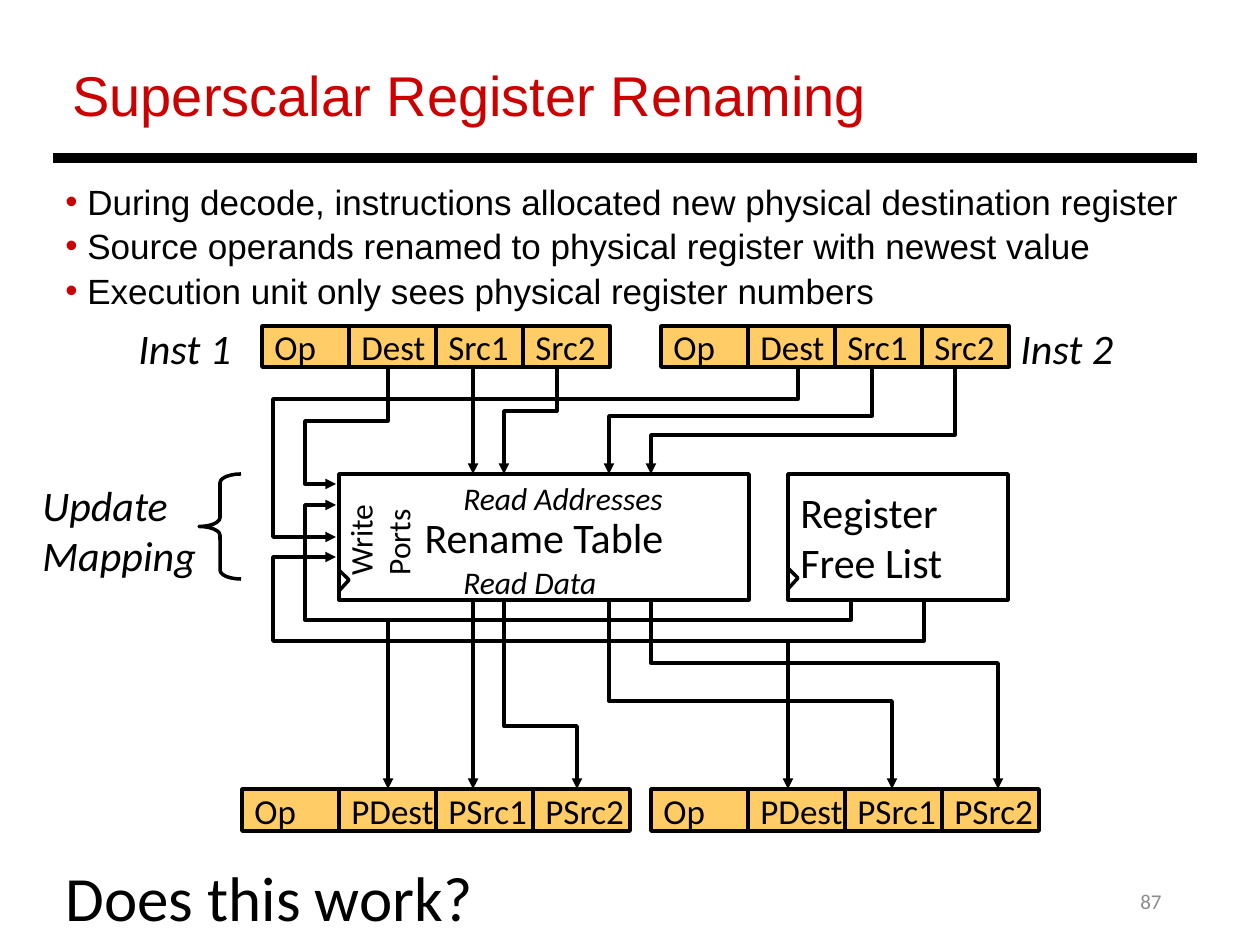
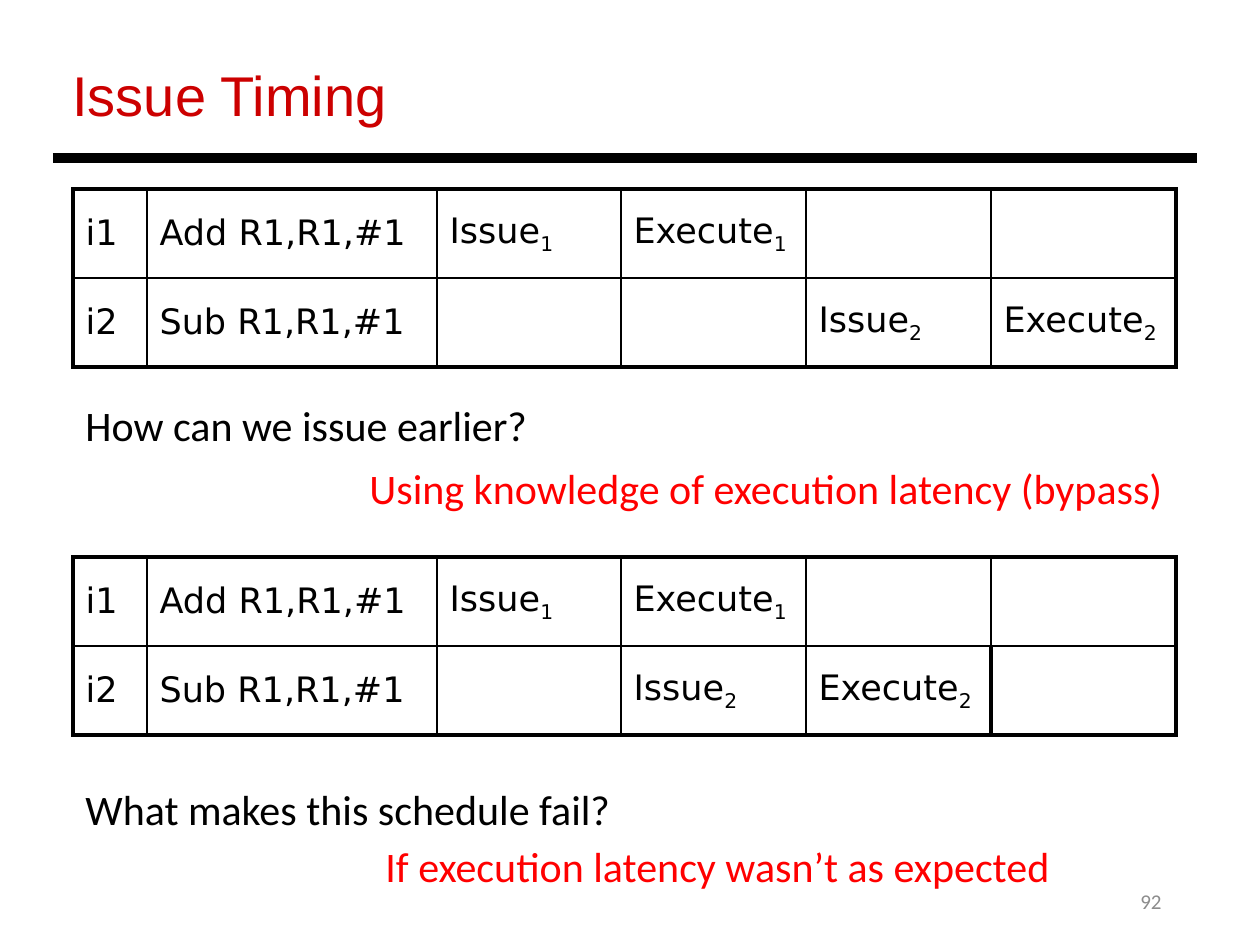
from lxml.etree import SubElement
from pptx import Presentation
from pptx.dml.color import RGBColor
from pptx.enum.shapes import MSO_CONNECTOR as CONNECTOR, MSO_SHAPE as SHAPE
from pptx.enum.text import MSO_ANCHOR as ANCHOR, PP_ALIGN as ALIGN
from pptx.oxml.ns import qn
from pptx.util import Pt

PX = 914400 / 126
COLORS = {"black": "000000", "title": "CC0000", "answer": "FF0000",
          "number": "8C8C8C", "field": "FFCC66"}


def write(frame, text, size=24, color="black", font="Calibri", italic=False,
          align=ALIGN.LEFT, anchor=ANCHOR.TOP, wrap=True, bullet=False,
          margin=0, before=0, spacing=None):
    """Add one paragraph; the part after an underscore becomes a subscript."""
    paragraph = frame.add_paragraph() if frame.text else frame.paragraphs[0]
    frame.word_wrap = wrap
    frame.vertical_anchor = anchor
    properties = paragraph._p.get_or_add_pPr()
    if margin:
        properties.set("marL", str(round(margin * PX)))
    if bullet:
        properties.set("indent", str(round(-margin * PX)))
        bullet_color = SubElement(properties, qn("a:buClr"))
        SubElement(bullet_color, qn("a:srgbClr"), val=COLORS["title"])
        SubElement(properties, qn("a:buFont"), typeface=font)
        SubElement(properties, qn("a:buChar"), char="•")
    paragraph.alignment = align
    if before:
        paragraph.space_before = Pt(before)
    if spacing:
        paragraph.line_spacing = spacing
    body, _, subscript = text.partition("_")
    for part in filter(None, (body, subscript)):
        run = paragraph.add_run()
        run.text = part
        run.font.size = Pt(size)
        run.font.name = font
        run.font.italic = italic
        run.font.color.rgb = RGBColor.from_string(COLORS[color])
    if subscript:
        run._r.get_or_add_rPr().set("baseline", "-25000")


def add_text(slide, place, text, **text_format):
    box = slide.shapes.add_textbox(*(round(length * PX) for length in place))
    write(box.text_frame, text, **text_format)
    return box


presentation = Presentation()
presentation.slide_width = round(1260 * PX)
presentation.slide_height = round(945 * PX)
black = RGBColor.from_string(COLORS["black"])
connectors = []

# Title, rule and slide number on both slides
slides = []
for title, number in (("Superscalar Register Renaming", "87"), ("Issue Timing", "92")):
    slide = presentation.slides.add_slide(presentation.slide_layouts[6])
    slides.append(slide)
    add_text(slide, (890, 876, 284, 50), number, size=12, color="number",
             align=ALIGN.RIGHT, anchor=ANCHOR.MIDDLE)
    add_text(slide, (60, 54, 1106, 81), title, size=32, color="title", font="Arial")
    rule = slide.shapes.add_connector(
        CONNECTOR.STRAIGHT, *(round(length * PX) for length in (53, 158, 1197, 158)))
    rule.line.width = Pt(6)
    connectors.append(rule)
renaming, timing = slides

# Renaming: bullets
bullet_format = dict(size=20, font="Arial", bullet=True, margin=22)
bullets = add_text(
    renaming, (53, 174, 1169, 140),
    "During decode, instructions allocated new physical destination register",
    **bullet_format)
for text in ("Source operands renamed to physical register with newest value",
             "Execution unit only sees physical register numbers"):
    write(bullets.text_frame, text, before=1.4, **bullet_format)

# Renaming: instruction fields and the two register structures
boxes = [
    ((339, 474, 410, 126), "Rename Table", None, dict(align=ALIGN.CENTER)),
    ((788, 474, 220, 126), "Register Free List", None, {}),
]
decoded = ("Op", "Dest", "Src1", "Src2")
renamed = ("Op", "PDest", "PSrc1", "PSrc2")
for left, top, width, height, names in (
        (262, 326, 87, 41, decoded), (661, 326, 87, 41, decoded),
        (242, 789, 97, 42, renamed), (651, 789, 97, 42, renamed)):
    for column, name in enumerate(names):
        boxes.append(((left + column * width, top, width, height), name, "field",
                      dict(size=20, wrap=False)))
for place, text, fill, text_format in boxes:
    box = renaming.shapes.add_shape(
        SHAPE.RECTANGLE, *(round(length * PX) for length in place))
    box.shadow.inherit = False
    if fill:
        box.fill.solid()
        box.fill.fore_color.rgb = RGBColor.from_string(COLORS[fill])
    else:
        box.fill.background()
    box.line.color.rgb = black
    box.line.width = Pt(2)
    write(box.text_frame, text, anchor=ANCHOR.MIDDLE, **text_format)

# Renaming: bent wires, each with an arrowhead at its end
wires = [
    # sources to read addresses
    [(872, 368), (872, 416), (609, 416), (609, 474)],
    [(955, 368), (955, 435), (651, 435), (651, 474)],
    [(557, 368), (557, 411), (504, 411), (504, 474)],
    # read data to physical sources
    [(504, 600), (504, 726), (577, 726), (577, 789)],
    [(609, 600), (609, 701), (892, 701), (892, 789)],
    [(651, 600), (651, 663), (998, 663), (998, 789)],
    # free list to physical destinations
    [(851, 600), (851, 620), (388, 620), (388, 789)],
    [(924, 600), (924, 641), (788, 641), (788, 789)],
    # write ports
    [(798, 368), (798, 399), (273, 399), (273, 537), (336, 537)],
    [(788, 641), (273, 641), (273, 557), (336, 557)],
    [(388, 368), (388, 421), (305, 421), (305, 484), (336, 484)],
    [(388, 620), (305, 620), (305, 505), (336, 505)],
]
clock_marks = [[(left, top), (left + 10, top + 10), (left, top + 21)]
               for left, top in ((339, 570), (788, 568))]
arrows = []
for points in wires + clock_marks:
    builder = renaming.shapes.build_freeform(*points[0], scale=PX)
    builder.add_line_segments(points[1:], close=False)
    wire = builder.convert_to_shape()
    wire.shadow.inherit = False
    wire.fill.background()
    wire.line.color.rgb = black
    wire.line.width = Pt(2)
    if points in wires:
        arrows.append(wire)

# Renaming: straight wires of Src1
for top, bottom in ((368, 474), (600, 789)):
    wire = renaming.shapes.add_connector(
        CONNECTOR.STRAIGHT, *(round(length * PX) for length in (473, top, 473, bottom)))
    wire.line.width = Pt(2)
    connectors.append(wire)
    arrows.append(wire)

for connector in connectors:
    connector.line.color.rgb = black
    SubElement(connector.element.spPr, qn("a:effectLst"))
for arrow in arrows:
    SubElement(arrow.element.spPr.find(qn("a:ln")), qn("a:tailEnd"), type="triangle")

# Renaming: brace and labels
brace = renaming.shapes.add_shape(
    SHAPE.LEFT_BRACE, *(round(length * PX) for length in (199, 474, 42, 105)))
brace.adjustments[0] = 0.21
brace.shadow.inherit = False
brace.fill.background()
brace.line.color.rgb = black
brace.line.width = Pt(2)

update = add_text(renaming, (30, 473, 190, 115), "Update", italic=True)
write(update.text_frame, "Mapping", italic=True)
add_text(renaming, (126, 316, 130, 63), "Inst 1", italic=True)
add_text(renaming, (1008, 316, 130, 63), "Inst 2", italic=True)
add_text(renaming, (451, 473, 236, 50), "Read Addresses", size=18, italic=True)
add_text(renaming, (451, 557, 210, 50), "Read Data", size=18, italic=True)
ports = add_text(renaming, (323, 495, 105, 81), "Write Ports", size=18)
ports.rotation = 270
add_text(renaming, (53, 852, 1155, 89), "Does this work?", size=36)

# Timing: schedules, with a thick frame and the thick inner edges of each
first_row = ("i1", "Add R1,R1,#1", "Issue_1", "Execute_1", "", "")
second_start = ("i2", "Sub R1,R1,#1", "")
column_widths = (74, 290, 184, 185, 185, 185)
row_height = 89
schedules = [
    (189, (first_row, second_start + ("", "Issue_2", "Execute_2")), ()),
    (557, (first_row, second_start + ("Issue_2", "Execute_2", "")),
     ((1, 4, "R"), (1, 5, "L"))),
]
for top, rows, thick_edges in schedules:
    place = (73, top, sum(column_widths), row_height * len(rows))
    table = timing.shapes.add_table(
        len(rows), len(column_widths), *(round(length * PX) for length in place)).table
    table.first_row = False
    table.horz_banding = False
    for column, width in zip(table.columns, column_widths):
        column.width = round(width * PX)
    for row_index, row in enumerate(rows):
        table.rows[row_index].height = round(row_height * PX)
        for column_index, text in enumerate(row):
            cell = table.cell(row_index, column_index)
            cell.vertical_anchor = ANCHOR.MIDDLE
            outer = {"L": column_index == 0, "R": column_index == len(row) - 1,
                     "T": row_index == 0, "B": row_index == len(rows) - 1}
            for side, is_outer in outer.items():
                thick = is_outer or (row_index, column_index, side) in thick_edges
                border = SubElement(cell._tc.get_or_add_tcPr(), qn(f"a:ln{side}"),
                                    w=str(Pt(2.25 if thick else 1)))
                border_fill = SubElement(border, qn("a:solidFill"))
                SubElement(border_fill, qn("a:srgbClr"), val=COLORS["black"])
            cell.fill.background()
            if text:
                write(cell.text_frame, text, size=20, font="DejaVu Sans",
                      anchor=ANCHOR.MIDDLE)

# Timing: questions with their answers
for place, question, answer, margin, before, spacing in (
        ((73, 399, 1113, 126), "How can we issue earlier?",
         "Using knowledge of execution latency (bypass)", 284, 10, 0.9),
        ((73, 777, 1103, 123), "What makes this schedule fail?",
         "If execution latency wasn’t as expected", 300, 4, None)):
    box = add_text(timing, place, question, spacing=spacing)
    write(box.text_frame, answer, color="answer", margin=margin, before=before,
          spacing=spacing)

presentation.save("out.pptx")
